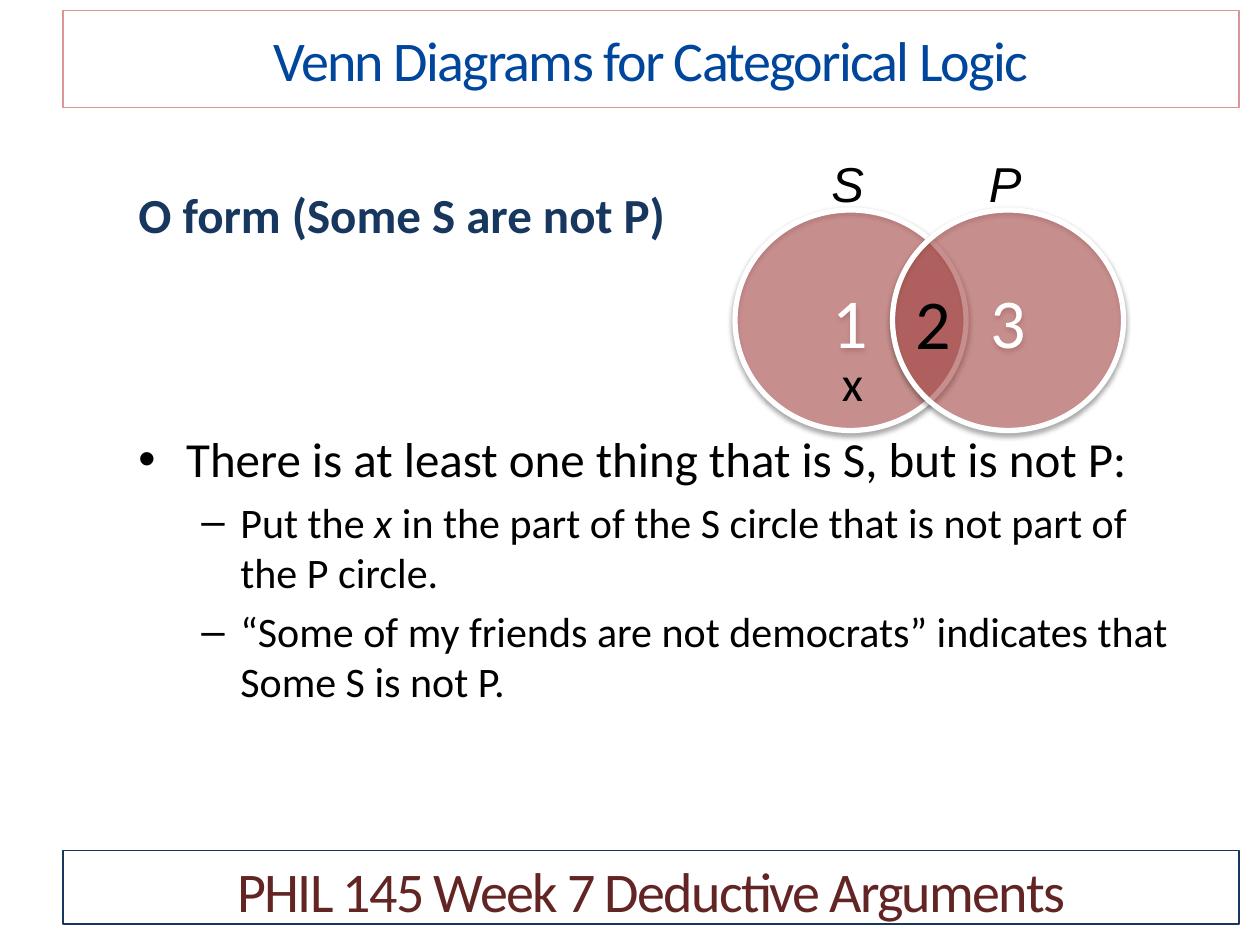
from lxml import etree
from pptx import Presentation
from pptx.dml.color import RGBColor as RGB
from pptx.enum.shapes import MSO_SHAPE as Shape
from pptx.enum.text import MSO_ANCHOR as Anchor, MSO_AUTO_SIZE as Fit, PP_ALIGN as Align
from pptx.oxml.ns import qn
from pptx.util import Inches, Pt

HUES = {"navy": "17375E", "blue": "00469C", "pink": "D99694", "wine": "632523",
        "red": "C0504D", "white": "FFFFFF", "black": "000000"}

deck = Presentation()
deck.slide_width, deck.slide_height = Inches(10), Inches(7.5)
slide = deck.slides.add_slide(deck.slide_layouts[5])
unit = deck.slide_width / 120  # grid of 120 columns by 90 rows


def place(*cells):
    return [round(cell * unit) for cell in cells]


def add_run(para, text, size, hue="black", face="Calibri", bold=False, slant=False):
    run = para.add_run()
    run.text = text
    font = run.font
    font.size, font.name, font.bold, font.italic = Pt(size), face, bold, slant
    font.color.rgb = RGB.from_string(HUES[hue])
    return run


# Body text: indent, hang, space before, bullet, size, runs of (text, style)
lines = [
    (0, 0, 0, None, 28, [("O form (Some S are not P)", {"hue": "navy", "bold": True})]),
    (0.38, 0.38, 106, "•", 28, [("There is at least one thing that is S, but is not P:", {})]),
    (0.81, 0.31, 4.8, "–", 24, [
        ("Put the ", {}), ("x", {"slant": True}),
        (" in the part of the S circle that is not part of the P circle.", {})]),
    (0.81, 0.31, 4.8, "–", 24, [
        ("“Some of my friends are not democrats” indicates that Some S is not P.", {})]),
]
frame = slide.shapes.add_textbox(*place(12, 17, 102, 60)).text_frame
frame.word_wrap = True
for i, (indent, hang, gap, mark, size, runs) in enumerate(lines):
    para = frame.add_paragraph() if i else frame.paragraphs[0]
    para.space_before = Pt(gap)
    if mark:
        props = para._p.get_or_add_pPr()
        props.set("marL", str(Inches(indent)))
        props.set("indent", str(-Inches(hang)))
        etree.SubElement(props, qn("a:buFont"), typeface="Arial")
        etree.SubElement(props, qn("a:buChar"), char=mark)
    for text, style in runs:
        add_run(para, text, size, **style)

# Venn circles, half transparent with a soft shadow below
for col, digit in ((70, "1"), (85, "3")):
    disc = slide.shapes.add_shape(Shape.OVAL, *place(col, 20, 22, 21))
    disc.fill.solid()
    disc.fill.fore_color.rgb = RGB.from_string(HUES["red"])
    disc.line.color.rgb = RGB.from_string(HUES["white"])
    disc.line.width = Pt(3)
    disc.shadow.inherit = False
    props = disc._element.spPr
    tint = props.find(qn("a:solidFill")).find(qn("a:srgbClr"))
    etree.SubElement(tint, qn("a:alpha"), val="50000")
    shade = etree.SubElement(props.find(qn("a:effectLst")), qn("a:outerShdw"),
                             blurRad=str(Pt(3.1)), dist=str(Pt(1.6)),
                             dir="5400000", rotWithShape="0")
    tone = etree.SubElement(shade, qn("a:srgbClr"), val=HUES["black"])
    etree.SubElement(tone, qn("a:alpha"), val="38000")
    disc.text_frame.vertical_anchor = Anchor.MIDDLE
    para = disc.text_frame.paragraphs[0]
    para.alignment = Align.CENTER
    add_run(para, digit, 40, "white")

# Labels on and above the circles
for text, cells, size, face, slant in (
        ("S", (78, 14, 5.5, 6.8), 28, "Arial", True),
        ("P", (93, 14, 5.5, 6.8), 28, "Arial", True),
        ("2", (86, 26, 5.9, 9.25), 40, "Calibri", False),
        ("x", (79, 33, 4.6, 6.8), 28, "Calibri", False)):
    frame = slide.shapes.add_textbox(*place(*cells)).text_frame
    frame.word_wrap = False
    frame.auto_size = Fit.SHAPE_TO_FIT_TEXT
    add_run(frame.paragraphs[0], text, size, face=face, slant=slant)

# Framed title and footer
foot = slide.shapes.add_shape(Shape.RECTANGLE, *place(6, 81, 112, 7))
foot.shadow.inherit = False
title = slide.shapes.title
title.left, title.top, title.width, title.height = place(6, 1, 112, 9.25)
for box, text, hue, edge, anchor in (
        (foot, "PHIL 145 Week 7 Deductive Arguments", "wine", "navy", Anchor.TOP),
        (title, "Venn Diagrams for Categorical Logic", "blue", "pink", Anchor.MIDDLE)):
    box.fill.background()
    box.line.color.rgb = RGB.from_string(HUES[edge])
    box.line.width = Pt(0.75)
    frame = box.text_frame
    frame.auto_size, frame.vertical_anchor = Fit.NONE, anchor
    frame.paragraphs[0].alignment = Align.CENTER
    run = add_run(frame.paragraphs[0], text, 32, hue)
    run._r.get_or_add_rPr().set("spc", "-100")

deck.save("out.pptx")
